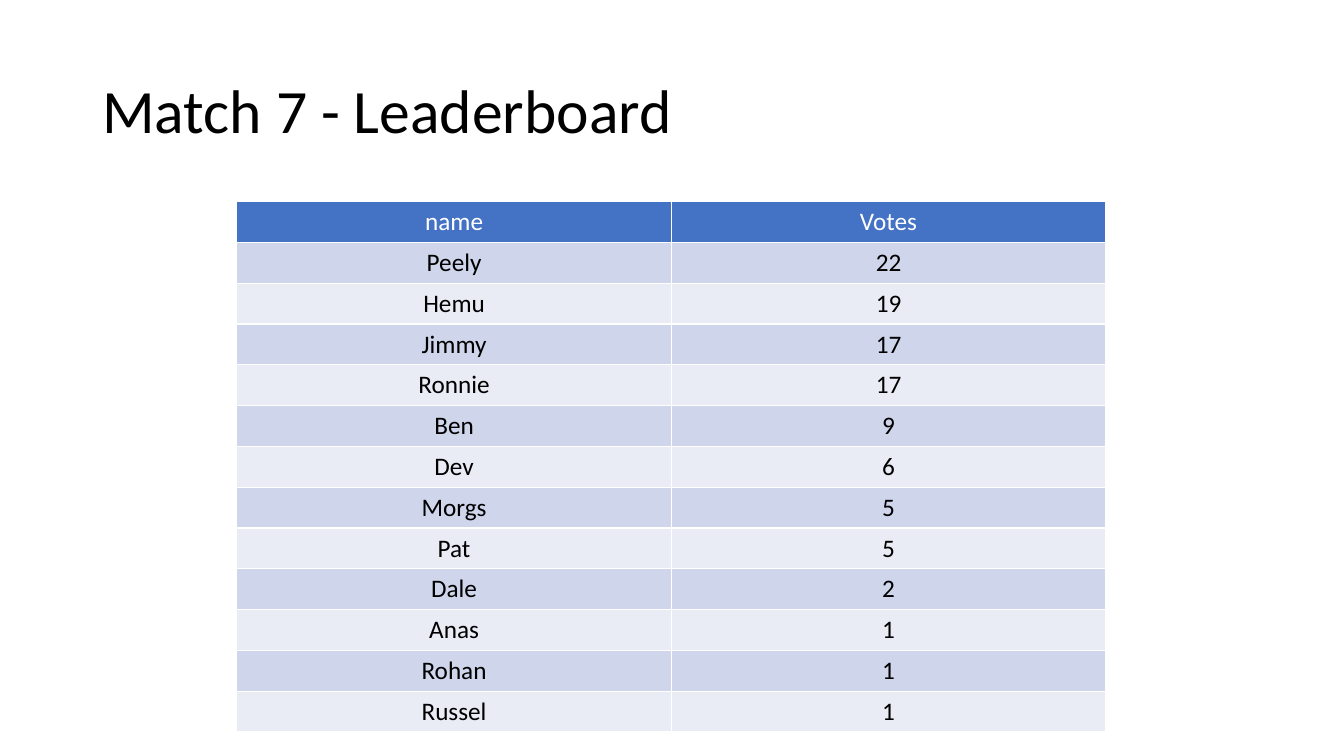
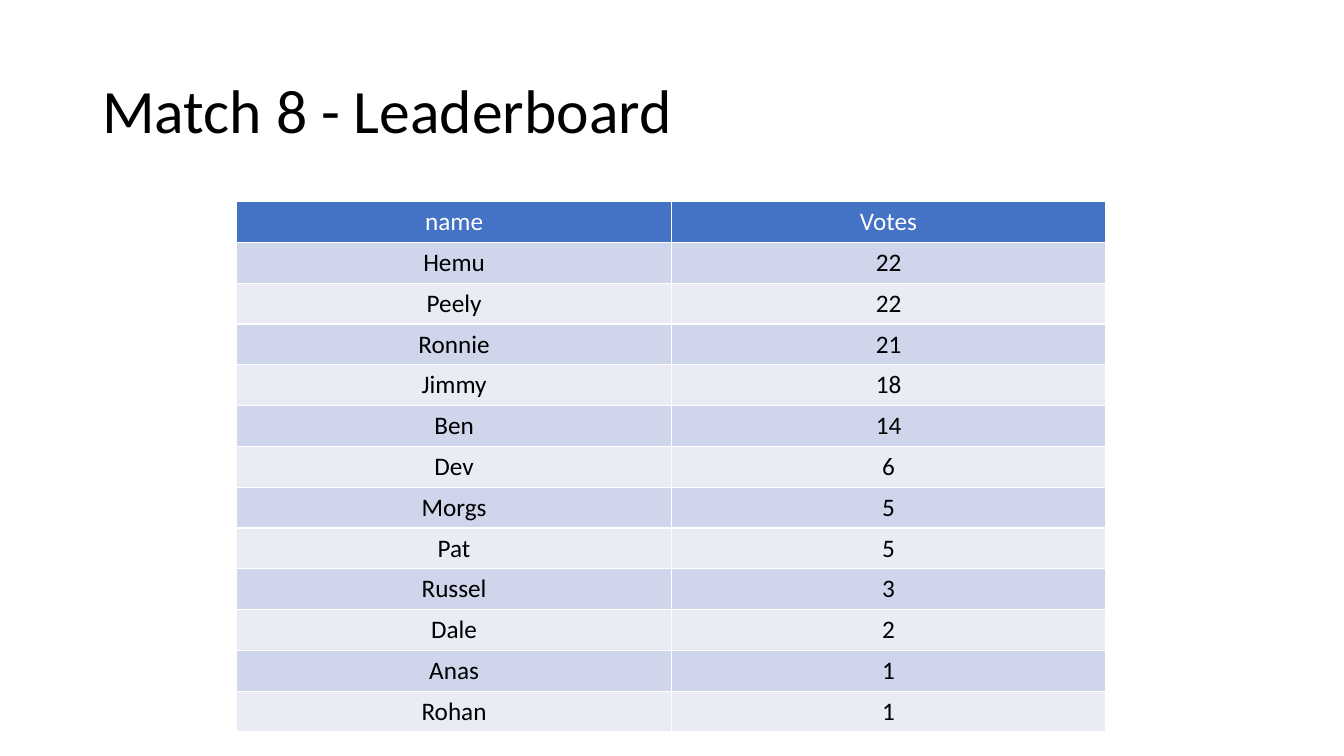
from pptx import Presentation
from pptx.dml.color import RGBColor
from pptx.enum.text import MSO_ANCHOR, PP_ALIGN
from pptx.util import Inches, Pt

BLACK = RGBColor(0x00, 0x00, 0x00)
WHITE = RGBColor(0xFF, 0xFF, 0xFF)
HEADER_BLUE = RGBColor(0x44, 0x72, 0xC4)
BANDS = (RGBColor(0xE9, 0xEB, 0xF5), RGBColor(0xCF, 0xD5, 0xEA))

FONT = "Calibri"
GRID_COLUMNS, GRID_ROWS = 80, 45
HEADINGS = ("name", "Votes")

LEADERBOARDS = {
    "Match 7 - Leaderboard": (
        ("Peely", 22), ("Hemu", 19), ("Jimmy", 17), ("Ronnie", 17),
        ("Ben", 9), ("Dev", 6), ("Morgs", 5), ("Pat", 5),
        ("Dale", 2), ("Anas", 1), ("Rohan", 1), ("Russel", 1),
    ),
    "Match 8 - Leaderboard": (
        ("Hemu", 22), ("Peely", 22), ("Ronnie", 21), ("Jimmy", 18),
        ("Ben", 14), ("Dev", 6), ("Morgs", 5), ("Pat", 5),
        ("Russel", 3), ("Dale", 2), ("Anas", 1), ("Rohan", 1),
    ),
}


class Deck:
    """Hold the shared style and the current slide of a leaderboard deck."""

    def __init__(self):
        self.presentation = Presentation()
        self.presentation.slide_width = Inches(40 / 3)
        self.presentation.slide_height = Inches(7.5)
        self.slide = None

    def box(self, column, row, columns, rows):
        across = self.presentation.slide_width / GRID_COLUMNS
        down = self.presentation.slide_height / GRID_ROWS
        return (round(column * across), round(row * down),
                round(columns * across), round(rows * down))

    def add_slide(self):
        blank = self.presentation.slide_layouts[6]
        self.slide = self.presentation.slides.add_slide(blank)

    def style(self, paragraph, size, color):
        font = paragraph.font
        font.name, font.size, font.bold = FONT, Pt(size), False
        font.color.rgb = color

    def title(self, text):
        frame = self.slide.shapes.add_textbox(*self.box(5.5, 2.4, 69, 8.7)).text_frame
        frame.word_wrap = True
        frame.vertical_anchor = MSO_ANCHOR.MIDDLE
        heading = frame.paragraphs[0]
        heading.text = text
        heading.line_spacing = 0.9
        self.style(heading, 44, BLACK)

    def cell(self, cell, text, fill, color):
        cell.fill.solid()
        cell.fill.fore_color.rgb = fill
        entry = cell.text_frame.paragraphs[0]
        entry.text = str(text)
        entry.alignment = PP_ALIGN.CENTER
        self.style(entry, 18, color)

    def leaderboard(self, scores):
        lines = (HEADINGS, *scores)
        area = self.box(14.1, 12, 51.72, 2.43 * len(lines))
        table = self.slide.shapes.add_table(len(lines), len(HEADINGS), *area).table
        for row, line in enumerate(lines):
            fill, color = (BANDS[row % 2], BLACK) if row else (HEADER_BLUE, WHITE)
            for column, text in enumerate(line):
                self.cell(table.cell(row, column), text, fill, color)


def main():
    deck = Deck()
    for title, scores in LEADERBOARDS.items():
        deck.add_slide()
        deck.title(title)
        deck.leaderboard(scores)
    deck.presentation.save("out.pptx")


if __name__ == "__main__":
    main()
